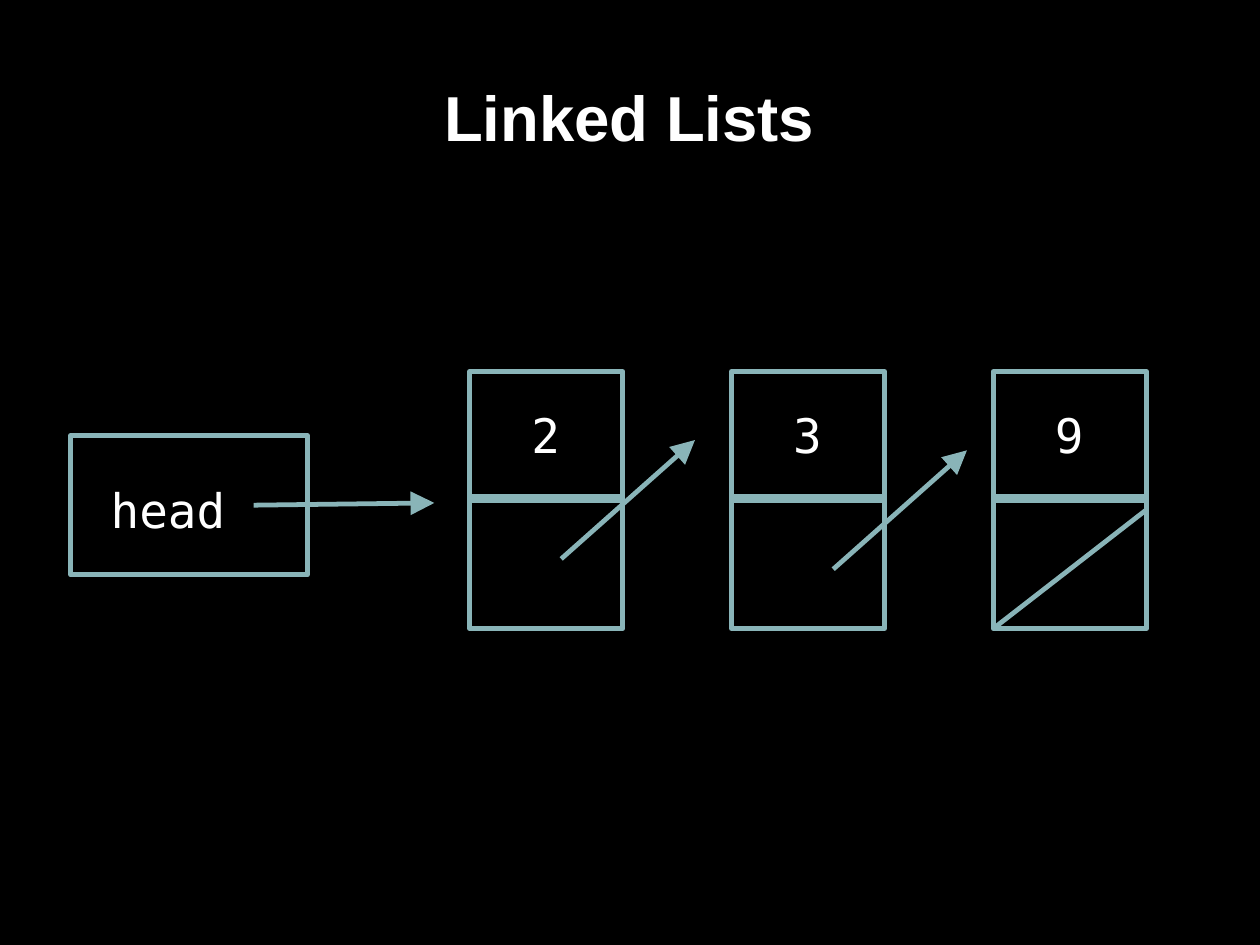
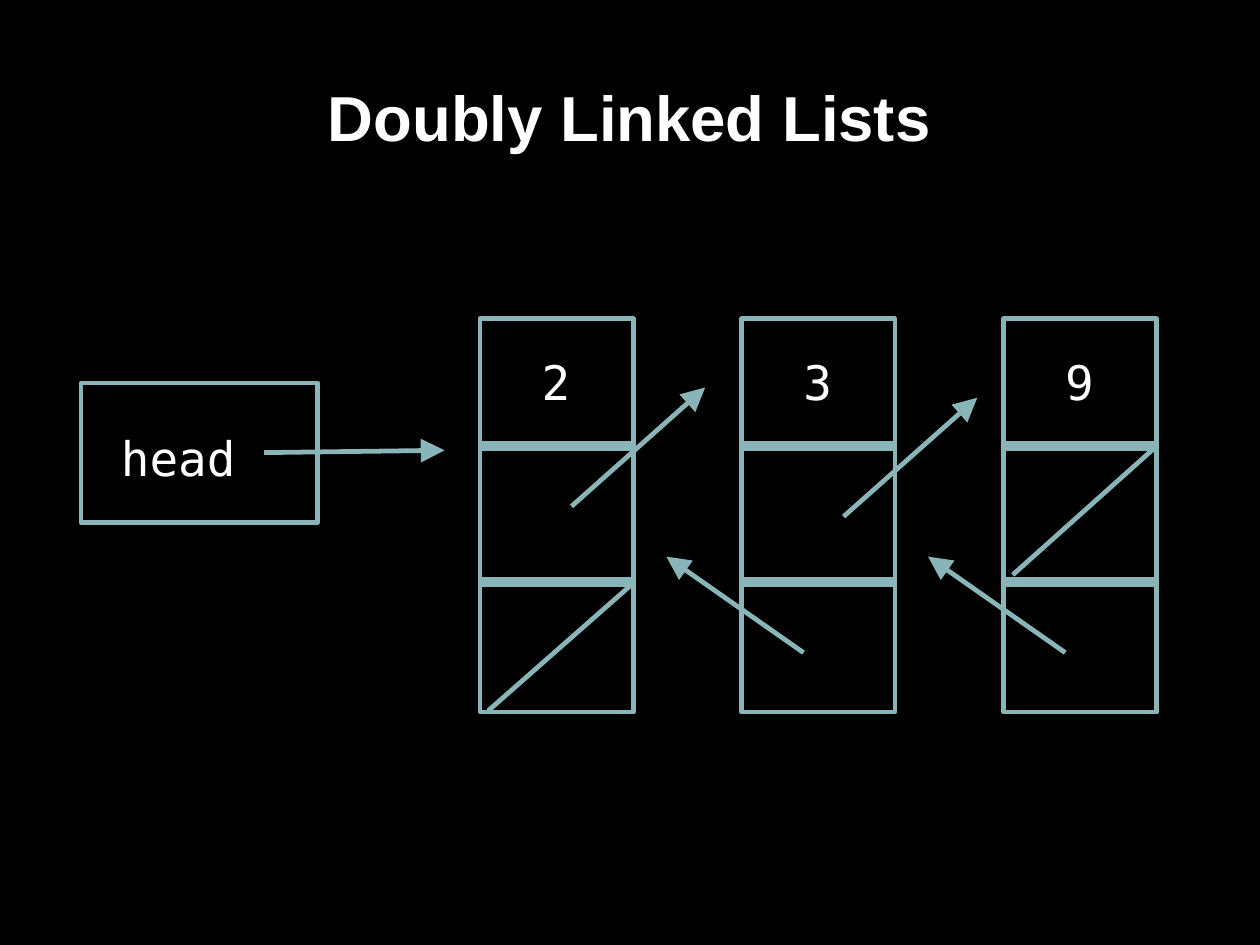
"""Build two slides that draw a singly and a doubly linked list."""
import pptx
import pptx.dml.color
import pptx.enum.shapes
import pptx.enum.text
import pptx.oxml
import pptx.oxml.ns
import pptx.util

Inches, Pt = pptx.util.Inches, pptx.util.Pt
COLORS = {
    name: pptx.dml.color.RGBColor.from_string(code)
    for name, code in {"back": "000000", "ink": "FFFFFF", "line": "89B4B8"}.items()
}
TITLE_FONT = {"name": "Arial", "size": Pt(40), "bold": True}
CODE_FONT = {"name": "DejaVu Sans Mono", "size": Pt(30), "bold": False}
INSETS = {f"margin_{side}": Inches(0.1) for side in ("left", "top", "right", "bottom")}
TITLE_PLACE = {"left": Inches(0.72), "top": Inches(0.25),
               "width": Inches(9.57), "height": Inches(1.54)}

PITCH = 2.29
NODE_WIDTH = 1.34
FIRST_DIVIDER = 1.11
ROW = 1.19
STEP = 0.09
VALUES = ["2", "3", "9"]
LAST = len(VALUES) - 1

LISTS = [
    {"title": "Linked Lists", "origin": (4.11, 3.25), "rows": 2, "height": 2.25,
     "empty": [(LAST, (1.34, 1.21), (0, 2.25))]},
    {"title": "Doubly Linked Lists", "origin": (4.2, 2.79), "rows": 3, "height": 3.44,
     "empty": [(LAST, (1.32, 1.13), (0.08, 2.24)), (0, (1.32, 2.33), (0.07, 3.43))]},
]


def write(frame, words, font_values, align):
    """Fill a text frame with one formatted paragraph."""
    for name, value in {**INSETS, "word_wrap": True}.items():
        setattr(frame, name, value)
    frame.text = words
    paragraph = frame.paragraphs[0]
    paragraph.alignment = align
    for name, value in font_values.items():
        setattr(paragraph.runs[0].font, name, value)
    paragraph.runs[0].font.color.rgb = COLORS["ink"]


def draw_line(shapes, origin, start, end, width=3, arrow=False):
    """Draw a line between two points given from the origin."""
    ends = [Inches(base + offset) for point in (start, end)
            for base, offset in zip(origin, point)]
    link = shapes.add_connector(pptx.enum.shapes.MSO_CONNECTOR.STRAIGHT, *ends)
    link.line.color.rgb = COLORS["line"]
    link.line.width = Pt(width)
    namespace = pptx.oxml.ns.nsdecls("a")
    if arrow:
        tip = pptx.oxml.parse_xml(f'<a:tailEnd {namespace} type="triangle" w="lg" len="lg"/>')
        link._element.spPr.find(pptx.oxml.ns.qn("a:ln")).append(tip)
    link._element.spPr.append(pptx.oxml.parse_xml(f"<a:effectLst {namespace}/>"))


deck = pptx.Presentation()
deck.slide_width, deck.slide_height = pptx.util.Cm(28), pptx.util.Cm(21)
backdrop = deck.slide_master.background.fill
backdrop.solid()
backdrop.fore_color.rgb = COLORS["back"]

for diagram in LISTS:
    slide = deck.slides.add_slide(deck.slide_layouts[5])
    shapes = slide.shapes
    heading = shapes.title
    for name, value in TITLE_PLACE.items():
        setattr(heading, name, value)
    write(heading.text_frame, diagram["title"], TITLE_FONT, pptx.enum.text.PP_ALIGN.CENTER)
    heading.text_frame.vertical_anchor = pptx.enum.text.MSO_ANCHOR.MIDDLE

    left, top = diagram["origin"]
    nodes = [(left + PITCH * column, top) for column in range(len(VALUES))]
    boxes = [(x, y, NODE_WIDTH, diagram["height"]) for x, y in nodes]
    boxes.append((left - 3.49, top + 0.56, 2.07, 1.22))
    for place in boxes:
        box = shapes.add_shape(pptx.enum.shapes.MSO_SHAPE.RECTANGLE, *map(Inches, place))
        box.shadow.inherit = False
        box.fill.background()
        box.line.color.rgb = COLORS["line"]
        box.line.width = Pt(3)

    labels = [(value, x + 0.44, y + 0.2, 0.63) for value, (x, y) in zip(VALUES, nodes)]
    labels.append(("head", left - 3.24, top + 0.86, 1.44))
    for words, x, y, width in labels:
        label = shapes.add_textbox(*map(Inches, (x, y, width, 0.63)))
        write(label.text_frame, words, CODE_FONT, pptx.enum.text.PP_ALIGN.LEFT)

    draw_line(shapes, nodes[0], (-1.89, 1.17), (-0.31, 1.15), arrow=True)
    for column, node in enumerate(nodes):
        for row in range(diagram["rows"] - 1):
            y = FIRST_DIVIDER + ROW * row
            draw_line(shapes, node, (0, y), (NODE_WIDTH, y), width=6)
        if column < LAST:
            shift = STEP * column
            draw_line(shapes, node, (0.8 + shift, 1.64 + shift),
                      (1.97 + shift, 0.6 + shift), arrow=True)
        if column > 0 and diagram["rows"] == 3:
            draw_line(shapes, node, (0.54, 2.92), (-0.66, 2.08), arrow=True)
    for column, start, end in diagram["empty"]:
        draw_line(shapes, nodes[column], start, end)

deck.save("out.pptx")
